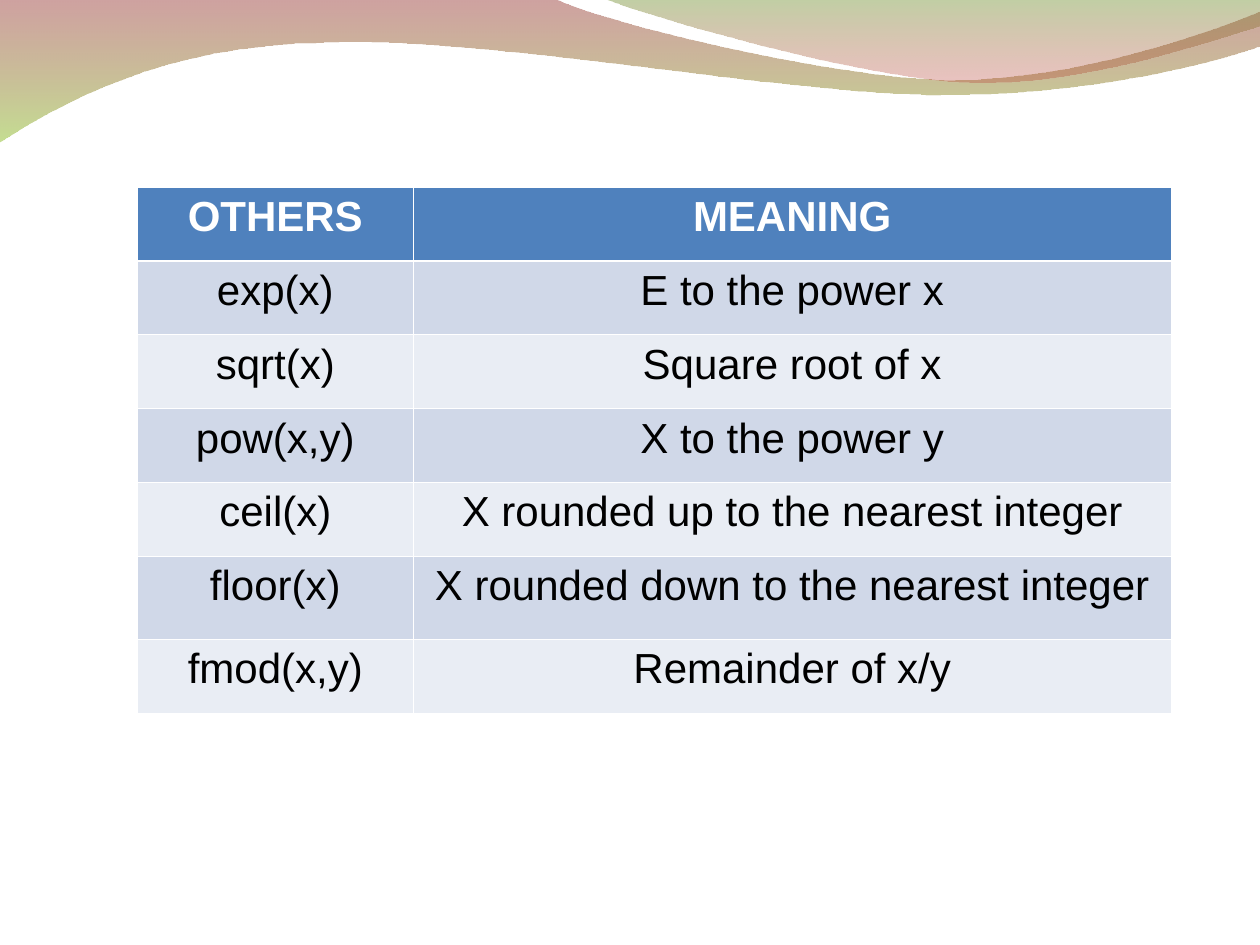
"""Build a slide with a table of maths functions under a wave banner."""
from lxml import etree
from pptx import Presentation
from pptx import util as u
from pptx.dml.color import RGBColor
from pptx.enum import text
from pptx.oxml.ns import qn

ROWS = [
    ("OTHERS", "MEANING"),
    ("exp(x)", "E to the power x"),
    ("sqrt(x)", "Square root of x"),
    ("pow(x,y)", "X to the power y"),
    ("ceil(x)", "X rounded up to the nearest integer"),
    ("floor(x)", "X rounded down to the nearest integer"),
    ("fmod(x,y)", "Remainder of x/y"),
]
COLORS = {
    "header": "4F81BD", "odd": "D0D8E8", "even": "E9EDF4",
    "white": "FFFFFF", "black": "000000",
    "maroon": "95302E", "lime": "95C237", "olive": "749434", "red": "BD322E",
}
WAVES = [
    {
        "start": (0, -0.03),
        "segments": [
            [(11.18, -0.03)],
            [(12.09, 0.43), (16.87, 1.6), (19.25, 1.6)],
            [(21.67, 1.6), (24.33, 0.66), (25.4, 0.23)],
            [(25.43, 0.91)],
            [(24.97, 1.12), (22.1, 1.93), (18.95, 1.91)],
            [(15.8, 1.91), (9.7, 0.71), (6.53, 0.86)],
            [(3.28, 0.89), (1.17, 2.11), (-0.03, 2.87)],
            [(0, -0.03)],
        ],
        "stops": [("maroon", 45), ("lime", 55)],
    },
    {
        "start": (12.17, -0.03),
        "segments": [
            [(12.93, 0.28), (17.32, 1.57), (19.53, 1.65)],
            [(21.74, 1.75), (24.41, 0.81), (25.4, 0.53)],
            [(25.4, 0)],
            [(12.17, -0.03)],
        ],
        "stops": [("olive", 45), ("red", 30)],
    },
]
LEFT, TOP = 2.77, 3.77
COL_WIDTHS = [5.56, 15.28]
ROW_HEIGHTS = [1.49] * 5 + [1.67, 1.49]
THIN, THICK = 0.45, 1.47


def rgb(name):
    return RGBColor.from_string(COLORS[name])


def merge_curves(sp, segments):
    lines = iter(list(sp._element.iter(qn("a:lnTo"))))
    for segment in segments:
        parts = [next(lines) for _ in segment]
        if len(parts) == 3:
            curve = etree.Element(qn("a:cubicBezTo"))
            parts[0].addprevious(curve)
            for part in parts:
                curve.append(part[0])
                part.getparent().remove(part)


def add_wave(s, start, segments, stops):
    builder = s.shapes.build_freeform(*map(u.Cm, start))
    points = [(u.Cm(x), u.Cm(y)) for segment in segments for x, y in segment]
    builder.add_line_segments(points, close=True)
    sp = builder.convert_to_shape()
    merge_curves(sp, segments)
    sp.shadow.inherit = False
    sp.line.fill.background()
    sp.fill.gradient()
    sp.fill.gradient_angle = 270
    for stop, (name, _) in zip(sp.fill.gradient_stops, stops):
        stop.color.rgb = rgb(name)
    gradient = sp._element.spPr.find(qn("a:gradFill"))
    for color, (_, opacity) in zip(gradient.iter(qn("a:srgbClr")), stops):
        etree.SubElement(color, qn("a:alpha"), val=str(opacity * 1000))


def set_borders(cell, row):
    widths = {"L": THIN, "R": THIN,
              "T": THICK if row == 1 else THIN,
              "B": THICK if row == 0 else THIN}
    tc_pr = cell._tc.get_or_add_tcPr()
    for side, width in widths.items():
        ln = etree.SubElement(tc_pr, qn(f"a:ln{side}"), w=str(u.Pt(width)))
        fill = etree.SubElement(ln, qn("a:solidFill"))
        etree.SubElement(fill, qn("a:srgbClr"), val=COLORS["white"])


def format_cell(cell, label, row):
    header = row == 0
    set_borders(cell, row)
    cell.fill.solid()
    cell.fill.fore_color.rgb = rgb("header" if header else "odd" if row % 2 else "even")
    cell.text_frame.text = label
    p = cell.text_frame.paragraphs[0]
    p.alignment = text.PP_ALIGN.CENTER
    font = p.runs[0].font
    font.name, font.size, font.bold = "Arial", u.Pt(24), header
    font.color.rgb = rgb("white" if header else "black")


def add_function_table(s):
    frame = s.shapes.add_table(
        len(ROWS), len(COL_WIDTHS), u.Cm(LEFT), u.Cm(TOP),
        u.Cm(sum(COL_WIDTHS)), u.Cm(sum(ROW_HEIGHTS)))
    table = frame.table
    for column, width in zip(table.columns, COL_WIDTHS):
        column.width = u.Cm(width)
    for i, (labels, height) in enumerate(zip(ROWS, ROW_HEIGHTS)):
        table.rows[i].height = u.Cm(height)
        for j, label in enumerate(labels):
            format_cell(table.cell(i, j), label, i)


def main():
    prs = Presentation()
    prs.slide_width, prs.slide_height = u.Cm(25.4), u.Cm(19.05)
    s = prs.slides.add_slide(prs.slide_layouts[6])
    for wave in WAVES:
        add_wave(s, **wave)
    add_function_table(s)
    prs.save("out.pptx")


if __name__ == "__main__":
    main()
